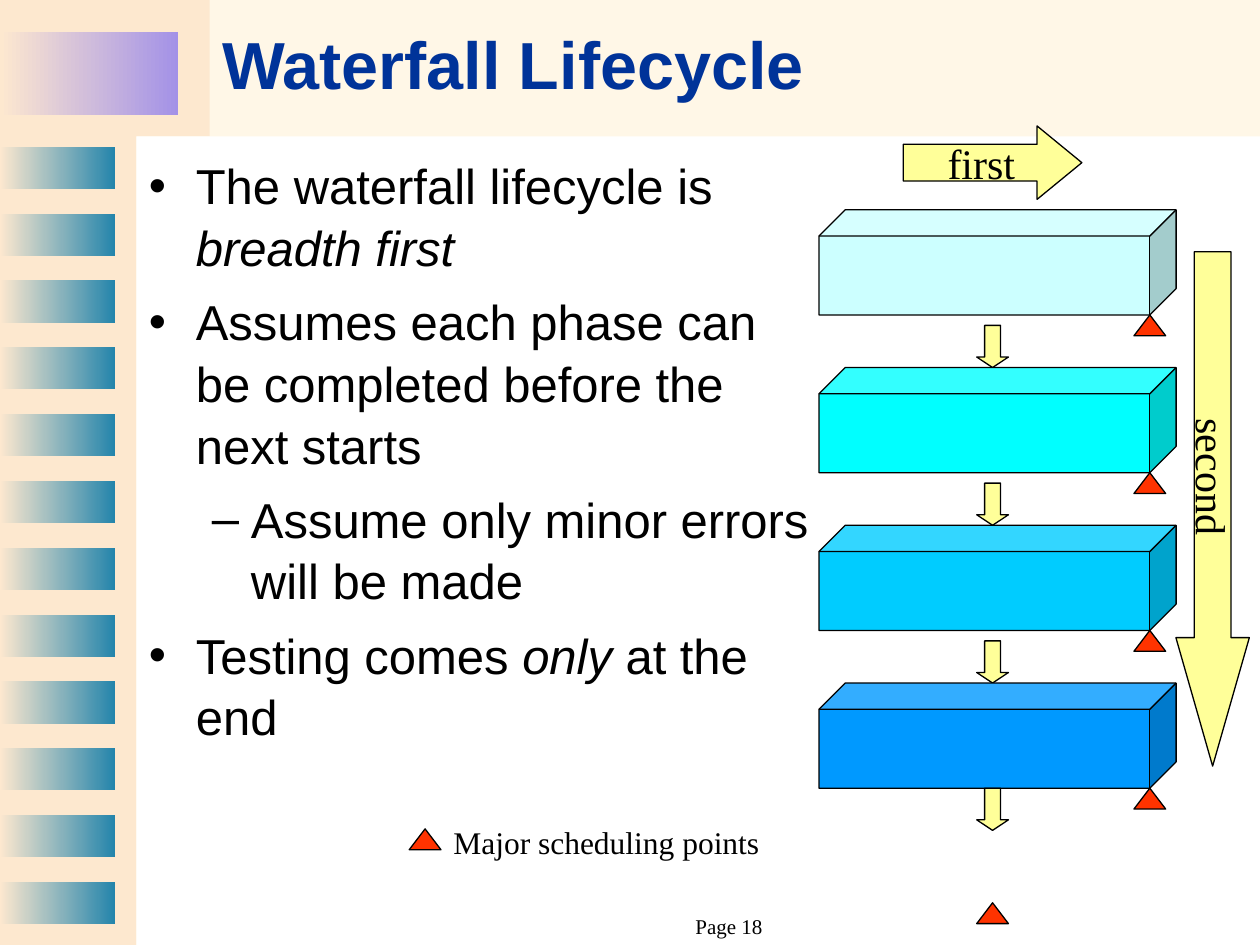
from pptx import Presentation
from pptx.dml.color import RGBColor
from pptx.enum.shapes import MSO_SHAPE
from pptx.enum.text import MSO_ANCHOR, PP_ALIGN
from pptx.oxml.ns import qn
from pptx.util import Cm, Pt
from lxml.etree import SubElement

COLORS = {
    "cream": "FFF7E7", "peach": "FDE8CF", "violet": "A391E7", "teal": "2384AB",
    "white": "FFFFFF", "black": "000000", "title": "003399",
    "arrow": "FFFF99", "marker": "FF3300",
}
PHASES = ["CCFFFF", "00FFFF", "00CCFF", "0099FF"]
SANS, SERIF = "Arial", "Times New Roman"

# Each paragraph: level and runs of (text, italic)
POINTS = [
    (0, [("The waterfall lifecycle is\v", False), ("breadth first", True)]),
    (0, [("Assumes each phase can be completed before the next starts", False)]),
    (1, [("Assume only minor errors will be made", False)]),
    (0, [("Testing comes ", False), ("only", True), (" at the end", False)]),
]
BULLETS = [("•", 0.95, 0.95), ("–", 2.06, 0.79)]  # character, margin, hanging


def rgb(color):
    return RGBColor.from_string(COLORS.get(color, color))


def add_part(slide, kind, box, fill, outlined=False, adjust=(), fade_to=None):
    part = slide.shapes.add_shape(kind, *map(Cm, box))
    part.shadow.inherit = False
    if fade_to:
        part.fill.gradient()
        part.fill.gradient_angle = 180
        for stop, color in zip(part.fill.gradient_stops, (fill, fade_to)):
            stop.color.rgb = rgb(color)
    else:
        part.fill.solid()
        part.fill.fore_color.rgb = rgb(fill)
    if outlined:
        part.line.color.rgb = rgb("black")
        part.line.width = Pt(0.75)
    else:
        part.line.fill.background()
    for index, value in enumerate(adjust):
        part.adjustments[index] = value
    return part


def write(holder, text, size, font=SERIF, color="black", bold=False,
          align=PP_ALIGN.LEFT, anchor=MSO_ANCHOR.TOP, wrap=True,
          space_before=0, line_spacing=None):
    """Write one string, or a list of (level, runs) as bulleted paragraphs."""
    frame = holder.text_frame
    frame.word_wrap = wrap
    frame.vertical_anchor = anchor
    bulleted = not isinstance(text, str)
    for index, (level, runs) in enumerate(text if bulleted else [(0, [(text, False)])]):
        paragraph = frame.add_paragraph() if index else frame.paragraphs[0]
        paragraph.alignment = align
        paragraph.space_before = Pt(space_before if index else 0)
        if line_spacing:
            paragraph.line_spacing = line_spacing
        if bulleted:
            set_bullet(paragraph, level)
        for words, italic in runs:
            words, *broken = words.split("\v")
            run = paragraph.add_run()
            run.text = words
            run.font.name, run.font.size = font, Pt(size)
            run.font.bold, run.font.italic = bold, italic
            run.font.color.rgb = rgb(color)
            if broken:
                paragraph.add_line_break()


def set_bullet(paragraph, level):
    character, margin, hanging = BULLETS[level]
    paragraph.level = level
    properties = paragraph._p.get_or_add_pPr()
    properties.set("marL", str(Cm(margin)))
    properties.set("indent", str(-Cm(hanging)))
    SubElement(properties, qn("a:buFont"), typeface=SANS)
    SubElement(properties, qn("a:buChar"), char=character)


def add_label(slide, box, text, size, **style):
    write(slide.shapes.add_textbox(*map(Cm, box)), text, size, **style)


def add_marker(slide, left, top):
    add_part(slide, MSO_SHAPE.ISOSCELES_TRIANGLE, (left, top, 0.64, 0.42), "marker", outlined=True)


def draw_backdrop(slide, width, height):
    slide.background.fill.solid()
    slide.background.fill.fore_color.rgb = rgb("cream")
    rect = MSO_SHAPE.RECTANGLE
    side, head = 2.75, 2.75
    add_part(slide, rect, (0, 0, 4.23, head), "peach")
    add_part(slide, rect, (0, 0, side, height), "peach")
    add_part(slide, rect, (0, 0.64, 3.6, 1.69), "violet", fade_to="peach")
    # Column of evenly spaced bars
    bars, first, last = 12, 2.96, 17.78
    for index in range(bars):
        top = first + index * (last - first) / (bars - 1)
        add_part(slide, rect, (0, top, 2.33, 0.85), "teal", fade_to="peach")
    add_part(slide, rect, (side, head, width - side, height - head), "white")
    add_label(slide, (13.77, 18.29, 3.2, 0.76), "Page 18", 12, wrap=False)


def draw_lifecycle(slide, left, top):
    width, height, pitch = 7.2, 2.12, 3.18
    center = left + 3.5
    # Reading directions
    first = add_part(slide, MSO_SHAPE.RIGHT_ARROW, (left + 1.7, top - 1.69, 3.6, 1.48),
                     "arrow", outlined=True, adjust=(0.5, 0.61))
    second = add_part(slide, MSO_SHAPE.RIGHT_ARROW, (left + 2.75, top + 5.29, 10.37, 1.48),
                      "arrow", outlined=True, adjust=(0.5, 1.75))
    second.rotation = 90
    for arrow, word in ((first, "first"), (second, "second")):
        write(arrow, word, 24, align=PP_ALIGN.CENTER, anchor=MSO_ANCHOR.MIDDLE, wrap=False)
    # Phases, each followed by a step arrow and a scheduling point
    for index, color in enumerate(PHASES):
        phase_top = top + index * pitch
        bottom = phase_top + height
        gap = 0 if index == len(PHASES) - 1 else 0.21
        add_part(slide, MSO_SHAPE.CUBE, (left, phase_top, width, height), color,
                 outlined=True, adjust=(0.25,))
        add_part(slide, MSO_SHAPE.DOWN_ARROW, (center - 0.32, bottom + gap, 0.64, 0.85),
                 "arrow", outlined=True, adjust=(0.5, 0.33))
        add_marker(slide, left + 6.35, bottom)
    add_marker(slide, center - 0.32, top + 13.97)


def draw_legend(slide, left, top):
    add_marker(slide, left, top + 0.25)
    add_label(slide, (left + 0.64, top, 6.68, 1.02), "Major scheduling points", 18)


def main():
    deck = Presentation()
    deck.slide_width, deck.slide_height = Cm(25.4), Cm(19.05)
    slide = deck.slides.add_slide(deck.slide_layouts[6])
    draw_backdrop(slide, 25.4, 19.05)
    add_label(slide, (4.23, 0, 21.17, 2.54), "Waterfall Lifecycle", 38, font=SANS,
              color="title", bold=True, anchor=MSO_ANCHOR.MIDDLE)
    add_label(slide, (2.75, 2.96, 13.97, 13.76), POINTS, 28, font=SANS,
              space_before=7, line_spacing=1.05)
    draw_lifecycle(slide, 16.51, 4.23)
    draw_legend(slide, 8.25, 16.46)
    deck.save("out.pptx")


if __name__ == "__main__":
    main()
